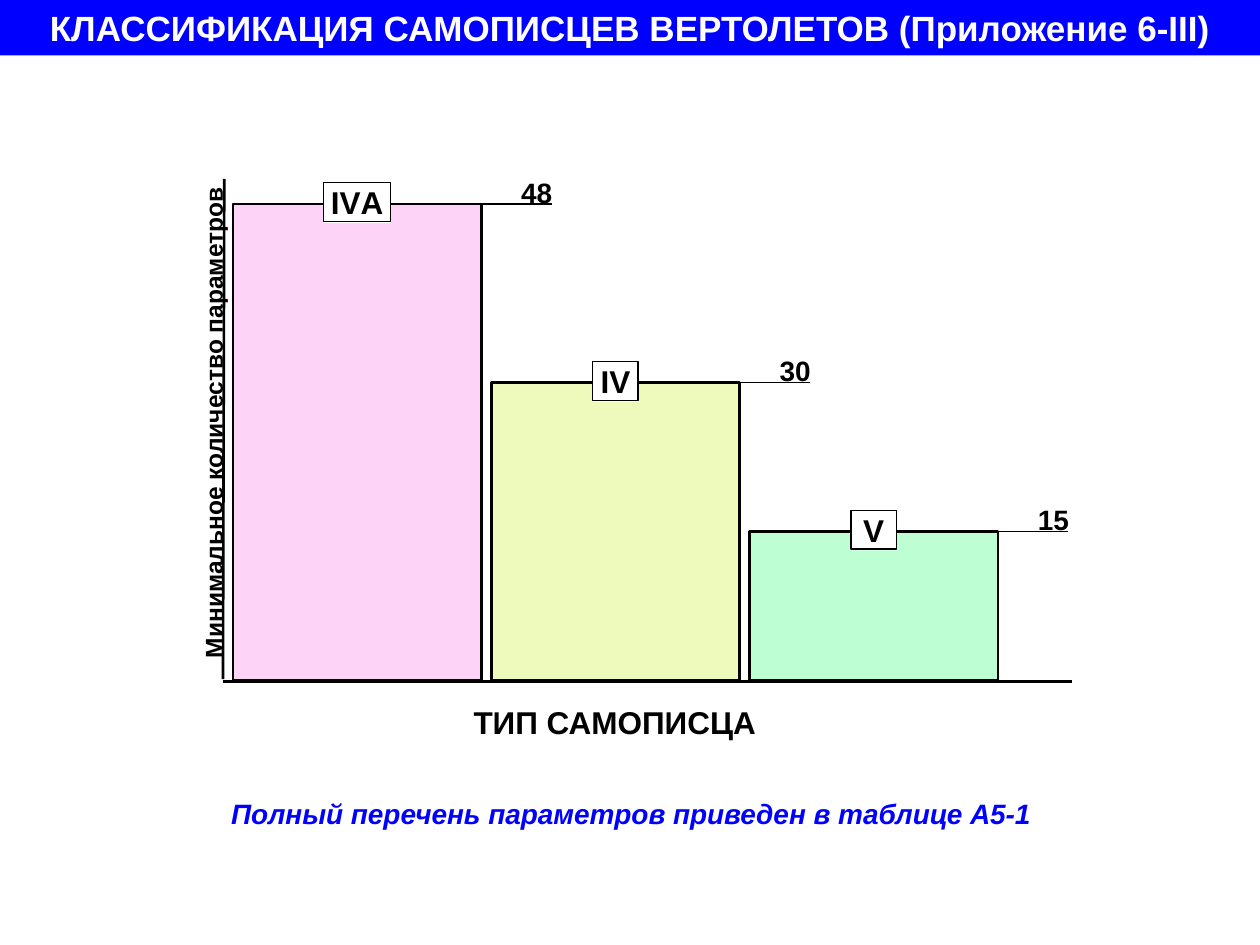
from pptx import Presentation
from pptx.dml.color import RGBColor
from pptx.enum.shapes import MSO_CONNECTOR as Connector, MSO_SHAPE as Shape
from pptx.enum.text import MSO_ANCHOR as Anchor, PP_ALIGN as Align
from pptx.oxml.ns import qn
from pptx.util import Inches, Pt
from lxml import etree

COLORS = {
    "black": "000000",
    "white": "FFFFFF",
    "blue": "0000FF",
    "pink": "FDD3F7",
    "yellow": "EDFABC",
    "green": "BDFFD3",
}

deck = Presentation()
deck.slide_width, deck.slide_height = Inches(10), Inches(7.5)
page = deck.slides.add_slide(deck.slide_layouts[6])


def add_box(place, fill=None, line_width=None, text=None, size=18,
            color="black", anchor=Anchor.MIDDLE, inset=0):
    box = page.shapes.add_shape(Shape.RECTANGLE, *map(Inches, place))
    box.shadow.inherit = False
    if fill:
        box.fill.solid()
        box.fill.fore_color.rgb = RGBColor.from_string(COLORS[fill])
    else:
        box.fill.background()
    if line_width:
        box.line.color.rgb = RGBColor.from_string(COLORS["black"])
        box.line.width = Pt(line_width)
    else:
        box.line.fill.background()
    if text:
        frame = box.text_frame
        frame.word_wrap = False
        frame.vertical_anchor = anchor
        frame.margin_left = frame.margin_right = 0
        frame.margin_top = frame.margin_bottom = Inches(inset)
        para = frame.paragraphs[0]
        para.text = text
        para.alignment = Align.CENTER
        para.font.name = "Arial"
        para.font.size = Pt(size)
        para.font.bold = True
        para.font.color.rgb = RGBColor.from_string(COLORS[color])
    return box


def add_line(x1, y1, x2, y2, width):
    line = page.shapes.add_connector(
        Connector.STRAIGHT, *map(Inches, (x1, y1, x2, y2)))
    line.line.color.rgb = RGBColor.from_string(COLORS["black"])
    line.line.width = Pt(width)
    etree.SubElement(line._element.spPr, qn("a:effectLst"))


caption = {"anchor": Anchor.TOP, "inset": 0.05}

add_box((3.76, 5.53, 2.24, 0.3), text="ТИП САМОПИСЦА", **caption)
axis_title = add_box((-0.1, 3.24, 3.48, 0.23), size=14,
                     text="Минимальное количество параметров", **caption)
axis_title.rotation = 270

BASE = 5.4
BAR_WIDTH = 1.97
BAR_STEP = 2.05
UNIT = 3.78 / 48
recorders = [
    ("IVА", 48, "pink", 0.53),
    ("IV", 30, "yellow", 0.36),
    ("V", 15, "green", 0.36),
]
for index, (name, count, fill, label_width) in enumerate(recorders):
    left = 1.85 + index * BAR_STEP
    right = left + BAR_WIDTH
    height = count * UNIT
    top = BASE - height
    label_left = left + (BAR_WIDTH - label_width) / 2
    add_box((left, top, BAR_WIDTH, height), fill, 1.5)
    add_box((label_left, top - 0.08, label_width, 0.23), "white")
    add_box((label_left, top - 0.17, label_width, 0.31), None, 0.75, name)
    add_line(right, top, right + 0.56, top, 0.75)
    add_box((right + 0.32, top - 0.28, 0.24, 0.25), text=str(count), size=16,
            **caption)

add_box((0, 0, 10, 0.44), "blue", size=20, color="white",
        text="КЛАССИФИКАЦИЯ САМОПИСЦЕВ ВЕРТОЛЕТОВ (Приложение 6-III)")
note = add_box((2.04, 6.27, 5.94, 0.25), size=16, color="blue",
               text="Полный перечень параметров приведен в таблице А5-1",
               **caption)
note.text_frame.paragraphs[0].font.italic = True

add_line(1.78, 1.42, 1.77, 5.39, 1.5)
add_line(1.77, 5.41, 8.51, 5.41, 1.5)

deck.save("out.pptx")
